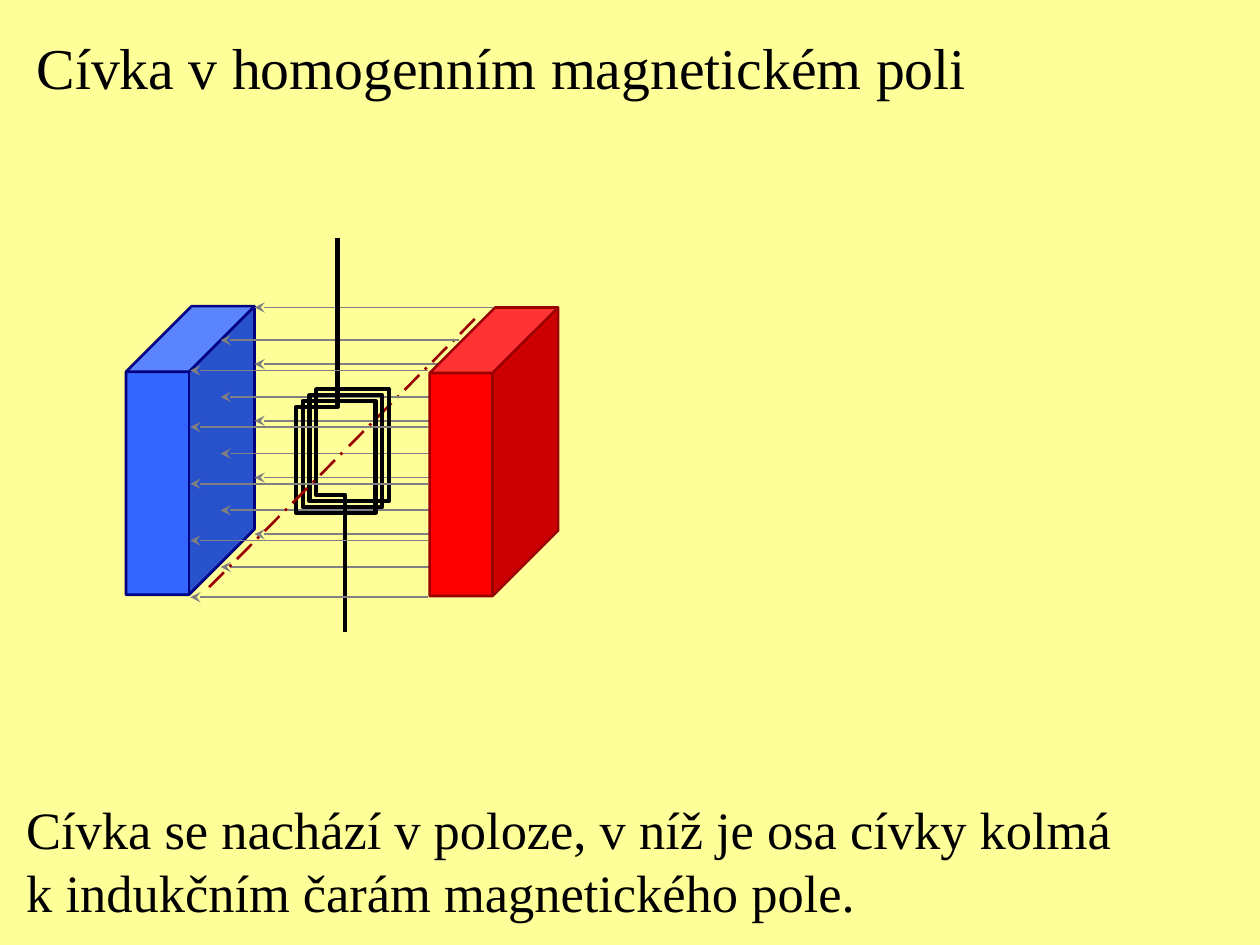
from lxml import etree
from pptx import Presentation
from pptx import util as u
from pptx.dml.color import RGBColor
from pptx.enum import dml, shapes, text
from pptx.oxml.ns import qn

THEME = {
    "font": "Times New Roman", "title": 33, "body": 30,
    "background": "FFFF99", "ink": "000000", "field": "808080", "axis": "990000",
    "blue": "3366FF", "blue_edge": "000080", "red": "FF0000", "red_edge": "990000",
}


def add_line(start, end, color, width, dash=None, arrow=False):
    line = page.shapes.add_connector(
        shapes.MSO_CONNECTOR.STRAIGHT, *[u.Inches(v) for v in (*start, *end)])
    line.line.color.rgb = RGBColor.from_string(color)
    line.line.width = u.Pt(width)
    if dash:
        line.line.dash_style = dash
    if arrow:
        etree.SubElement(line.line._get_or_add_ln(), qn("a:tailEnd"), type="stealth")
    etree.SubElement(line._element.spPr, qn("a:effectLst"))


def write_text(box, area, lines, size):
    box.left, box.top, box.width, box.height = [u.Inches(v) for v in area]
    frame = box.text_frame
    frame.text = "\n".join(lines)
    frame.word_wrap = False
    frame.auto_size = text.MSO_AUTO_SIZE.SHAPE_TO_FIT_TEXT
    frame.vertical_anchor = text.MSO_ANCHOR.TOP
    for para in frame.paragraphs:
        para.alignment = text.PP_ALIGN.LEFT
        para.line_spacing = u.Pt(size * 1.2)
        para.space_before = u.Pt(0)
        for span in para.runs:
            span.font.name = THEME["font"]
            span.font.size = u.Pt(size)
            span.font.color.rgb = RGBColor.from_string(THEME["ink"])


deck = Presentation()
deck.slide_width, deck.slide_height = u.Inches(10), u.Inches(7.5)
page = deck.slides.add_slide(deck.slide_layouts[5])
page.background.fill.solid()
page.background.fill.fore_color.rgb = RGBColor.from_string(THEME["background"])

# Title and explanation
write_text(page.shapes.title, (0.19, 0.2, 7.59, 0.65),
           ["Cívka v homogenním magnetickém poli"], THEME["title"])
write_text(page.shapes.add_textbox(0, 0, 0, 0), (0.11, 6.28, 8.82, 1.1),
           ["Cívka se nachází v poloze, v níž je osa cívky kolmá",
            "k indukčním čarám magnetického pole."], THEME["body"])

# Rear half of the coil axis
axis_dash = dml.MSO_LINE.LONG_DASH_DOT
add_line((2.77, 3.54), (3.79, 2.51), THEME["axis"], 1.5, axis_dash)

# Magnet poles, with the rear and middle field lines between them
field_rows, field_gap = 5, 0.45
field_layers = [(3.91, 2.02, 2.44), (3.64, 1.75, 2.7), (3.4, 1.51, 2.94)]
poles = [(1, 2.43, "blue", field_layers[:2]), (3.41, 2.44, "red", [])]
for left, top, color, layers in poles:
    pole = page.shapes.add_shape(shapes.MSO_SHAPE.CUBE, u.Inches(left), u.Inches(top),
                                 u.Inches(1.02), u.Inches(2.29))
    pole.adjustments[0] = 0.51
    pole.shadow.inherit = False
    pole.fill.solid()
    pole.fill.fore_color.rgb = RGBColor.from_string(THEME[color])
    pole.line.color.rgb = RGBColor.from_string(THEME[color + "_edge"])
    pole.line.width = u.Pt(1.5)
    for start_x, end_x, first_y in layers:
        for row in range(field_rows):
            y = first_y + row * field_gap
            add_line((start_x, y), (end_x, y), THEME["field"], 1, arrow=True)

# Coil: each turn is shifted right and up from the one before
turns, shift_x, shift_y = 4, 0.16 / 3, 0.14 / 3
wire = [(2.68, 1.89), (2.68, 3.23)]
for turn in range(turns):
    dx, dy = turn * shift_x, turn * shift_y
    wire += [(2.35 + dx, 3.23 - dy), (2.35 + dx, 4.07 - dy)]
    if turn < turns - 1:
        wire += [(2.98 + dx, 4.07 - dy), (2.98 + dx, 3.23 - dy - shift_y)]
wire += [(2.74, 3.93), (2.74, 5.02)]
points = [(u.Inches(x), u.Inches(y)) for x, y in wire]
builder = page.shapes.build_freeform(*points[0])
builder.add_line_segments(points[1:], close=False)
coil = builder.convert_to_shape()
coil.shadow.inherit = False
coil.fill.background()
coil.line.color.rgb = RGBColor.from_string(THEME["ink"])
coil.line.width = u.Pt(2.5)

# Front field lines and front half of the coil axis
start_x, end_x, first_y = field_layers[2]
for row in range(field_rows):
    y = first_y + row * field_gap
    add_line((start_x, y), (end_x, y), THEME["field"], 1, arrow=True)
add_line((1.66, 4.66), (2.72, 3.59), THEME["axis"], 1.5, axis_dash)

deck.save("out.pptx")
